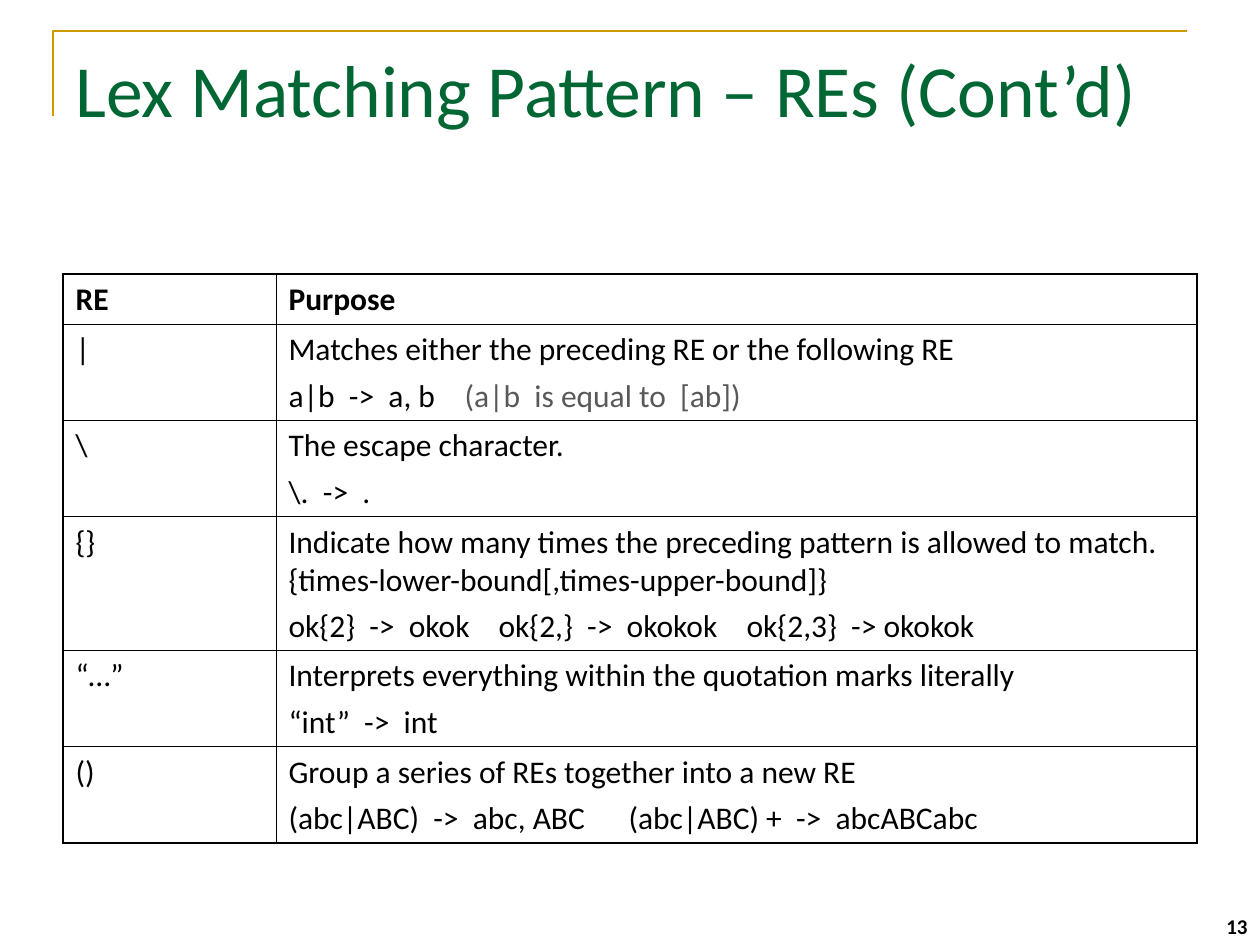
"""Build a slide with a table of Lex regular expression operators."""
from lxml import etree
from pptx import Presentation
from pptx import util as u
from pptx.dml.color import RGBColor
from pptx.enum import text
from pptx.oxml import ns

TITLE = "Lex Matching Pattern – REs (Cont’d)"
PAGE = "13"
BLACK = RGBColor(0, 0, 0)
GREY = RGBColor(0x59, 0x59, 0x59)
GREEN = RGBColor(0, 0x66, 0x33)
GOLD = RGBColor(0xCC, 0x99, 0)
FONT = "Calibri"

HEADER = ("RE", "Purpose")
OPERATORS = [
    ("|", "Matches either the preceding RE or the following RE",
     "a|b  ->  a, b\t", "(a|b  is equal to  [ab])", (176,)),
    ("\\", "The escape character.", "\\.  ->  .", "", ()),
    ("{}", "Indicate how many times the preceding pattern is allowed to match. "
     "{times-lower-bound[,times-upper-bound]}",
     "ok{2}  ->  okok\tok{2,}  ->  okokok\tok{2,3}  -> okokok", "", (210, 458)),
    ("“…”", "Interprets everything within the quotation marks literally",
     "“int”  ->  int", "", ()),
    ("()", "Group a series of REs together into a new RE",
     "(abc|ABC)  ->  abc, ABC\t(abc|ABC) +  ->  abcABCabc", "", (340,)),
]
COLUMN_WIDTHS = (213, 921)
ROW_HEIGHTS = (50, 96, 96, 134, 96, 96)
TABLE_LEFT, TABLE_TOP = 63, 274
OUTER, INNER = u.Pt(1.08), u.Pt(0.45)


def px(length):
    return u.Emu(round(length * 914400 / 126))


def apply(target, values):
    for name, value in values.items():
        setattr(target, name, value)


def write(paragraph, words, size, color=BLACK, bold=False):
    run = paragraph.add_run()
    run.text = words
    apply(run.font, {"name": FONT, "size": u.Pt(size), "bold": bold})
    run.font.color.rgb = color


def set_tabs(paragraph, stops):
    tabs = etree.SubElement(paragraph._p.get_or_add_pPr(), ns.qn("a:tabLst"))
    for stop in stops:
        etree.SubElement(tabs, ns.qn("a:tab"), pos=str(px(stop)), algn="l")


def set_borders(cell, widths):
    properties = cell._tc.get_or_add_tcPr()
    for side, width in widths.items():
        line = etree.SubElement(properties, ns.qn("a:ln" + side), w=str(width))
        fill = etree.SubElement(line, ns.qn("a:solidFill"))
        etree.SubElement(fill, ns.qn("a:srgbClr"), val=str(BLACK))
    cell.fill.background()


def fill_cell(cell, lines, bold=False, stops=()):
    apply(cell, {"margin_left": u.Inches(0.1), "margin_right": u.Inches(0.1),
                 "margin_top": u.Inches(0.05), "margin_bottom": u.Inches(0.05)})
    frame = cell.text_frame
    for index, runs in enumerate(lines):
        paragraph = frame.add_paragraph() if index else frame.paragraphs[0]
        paragraph.space_before = u.Pt(4.5)
        if index and stops:
            set_tabs(paragraph, stops)
        for words, color in runs:
            if words:
                write(paragraph, words, 18, color, bold)


deck = Presentation()
apply(deck, {"slide_width": px(1260), "slide_height": px(945)})
slide = deck.slides.add_slide(deck.slide_layouts[5])

corner_builder = slide.shapes.build_freeform(px(53), px(116))
corner_builder.add_line_segments([(px(53), px(31)), (px(1187), px(31))], close=False)
corner = corner_builder.convert_to_shape()
corner.shadow.inherit = False
corner.fill.background()
corner.line.color.rgb = GOLD
corner.line.width = u.Pt(1.5)

page = slide.shapes.add_textbox(px(966), px(882), px(294), px(63))
apply(page.text_frame, {"word_wrap": True, "vertical_anchor": text.MSO_ANCHOR.BOTTOM})
page.text_frame.paragraphs[0].alignment = text.PP_ALIGN.RIGHT
write(page.text_frame.paragraphs[0], PAGE, 12, bold=True)

title = slide.shapes.title
apply(title, {"left": px(63), "top": px(38), "width": px(1134), "height": px(158)})
apply(title.text_frame, {"vertical_anchor": text.MSO_ANCHOR.TOP, "word_wrap": True,
                         "auto_size": text.MSO_AUTO_SIZE.NONE})
title.text_frame.paragraphs[0].alignment = text.PP_ALIGN.LEFT
write(title.text_frame.paragraphs[0], TITLE, 42, GREEN)

operators = slide.shapes.add_table(
    len(ROW_HEIGHTS), len(COLUMN_WIDTHS), px(TABLE_LEFT), px(TABLE_TOP),
    px(sum(COLUMN_WIDTHS)), px(sum(ROW_HEIGHTS))).table
apply(operators, {"first_row": False, "horz_banding": False})
for column, width in zip(operators.columns, COLUMN_WIDTHS):
    column.width = px(width)
for row, height in zip(operators.rows, ROW_HEIGHTS):
    row.height = px(height)

for column, heading in enumerate(HEADER):
    fill_cell(operators.cell(0, column), [[(heading, BLACK)]], bold=True)
for row, (symbol, purpose, example, remark, stops) in enumerate(OPERATORS, 1):
    fill_cell(operators.cell(row, 0), [[(symbol, BLACK)]])
    fill_cell(operators.cell(row, 1),
              [[(purpose, BLACK)], [(example, BLACK), (remark, GREY)]], stops=stops)

last_row, last_column = len(ROW_HEIGHTS) - 1, len(COLUMN_WIDTHS) - 1
for row in range(last_row + 1):
    for column in range(last_column + 1):
        edges = {"L": column == 0, "R": column == last_column,
                 "T": row == 0, "B": row == last_row}
        set_borders(operators.cell(row, column),
                    {side: OUTER if outer else INNER for side, outer in edges.items()})

deck.save("out.pptx")
